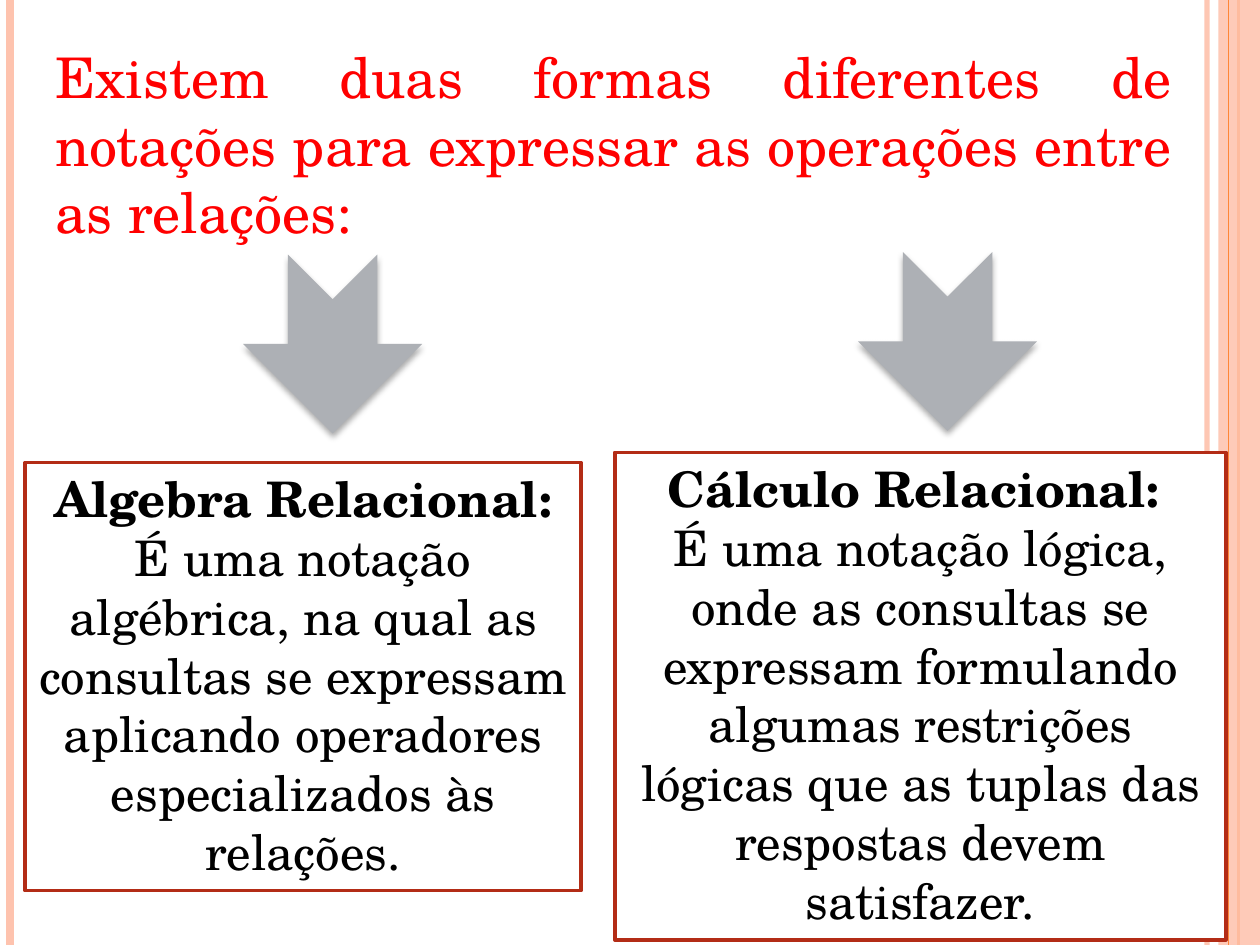
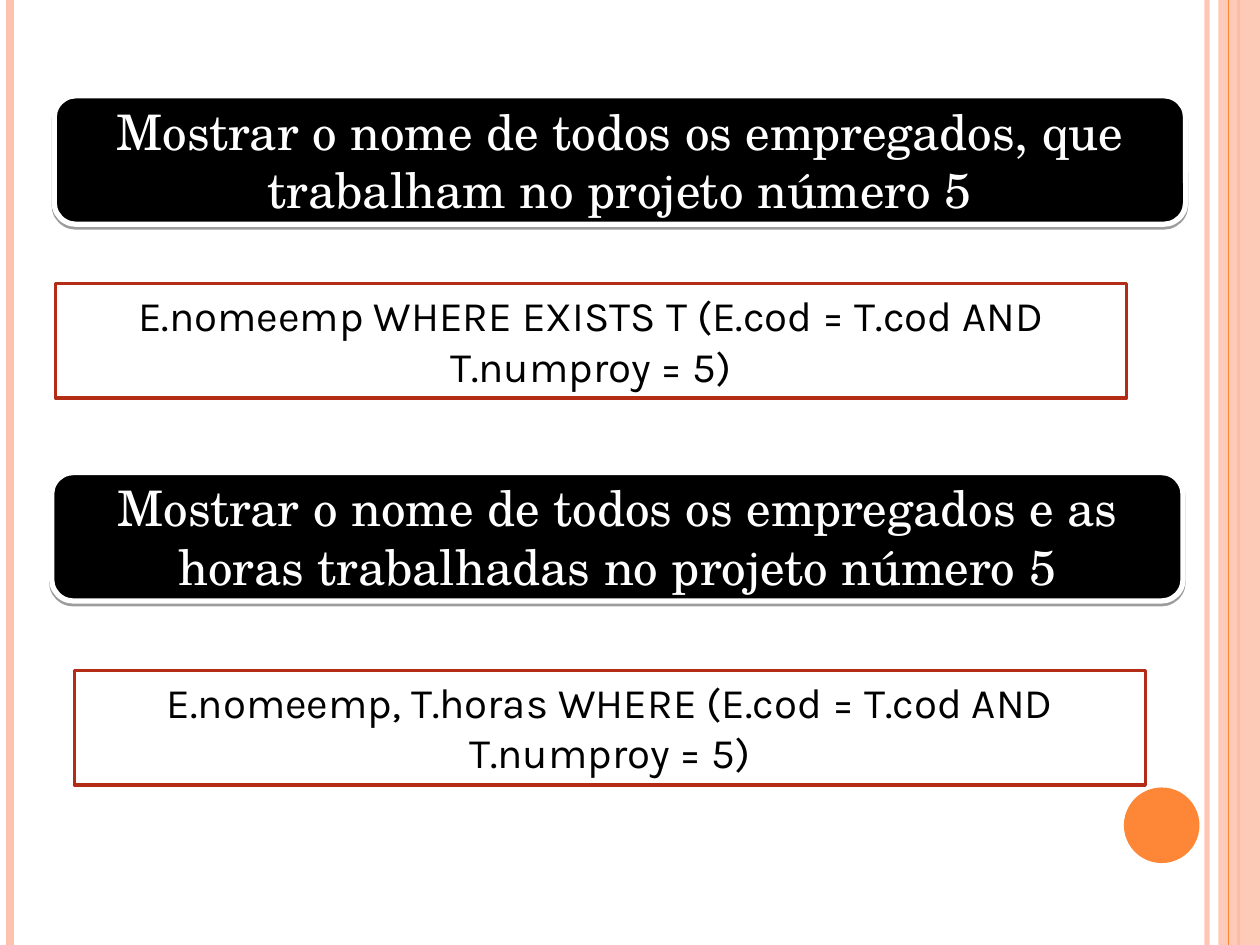
from dataclasses import dataclass

from lxml.etree import SubElement
from pptx import Presentation
from pptx.dml.color import RGBColor
from pptx.enum.shapes import MSO_CONNECTOR, MSO_SHAPE
from pptx.enum.text import MSO_ANCHOR, MSO_AUTO_SIZE, PP_ALIGN
from pptx.oxml.ns import qn
from pptx.util import Inches, Pt

SLIDE_WIDTH, SLIDE_HEIGHT = Inches(10), Inches(7.5)
COLUMNS, ROWS = 100, 75
COLUMN, ROW = SLIDE_WIDTH / COLUMNS, SLIDE_HEIGHT / ROWS

BLACK = RGBColor(0x00, 0x00, 0x00)
WHITE = RGBColor(0xFF, 0xFF, 0xFF)
RED = RGBColor(0xFF, 0x00, 0x00)
BRICK = RGBColor(0xB3, 0x2C, 0x16)
GREY = RGBColor(0xAD, 0xB0, 0xB5)
ORANGE = RGBColor(0xFE, 0x86, 0x37)
PEACH = RGBColor(0xFE, 0xC3, 0xAE)
SERIF, SANS = "TeX Gyre Schola", "Karla"


@dataclass(frozen=True)
class Area:
    """A place on the grid, in columns and rows."""
    left: float
    top: float
    width: float
    height: float

    def lengths(self) -> tuple:
        """Return left, top, width and height as slide lengths."""
        return (round(self.left * COLUMN), round(self.top * ROW),
                round(self.width * COLUMN), round(self.height * ROW))


@dataclass(frozen=True)
class Stripe:
    """A vertical line over the whole slide height."""
    column: float
    color: RGBColor
    points: float
    opacity: int = 100


@dataclass(frozen=True)
class Style:
    """The look of a run of text."""
    font: str
    size: int
    color: RGBColor


@dataclass(frozen=True)
class Shadow:
    """A shadow that falls straight down."""
    opacity: int
    blur: float
    distance: float


@dataclass(frozen=True)
class Span:
    """A piece of text, in bold or not."""
    text: str
    bold: bool = False


@dataclass(frozen=True)
class Notation:
    """A framed definition under its arrow."""
    arrow: Area
    frame: Area
    paragraphs: tuple


@dataclass(frozen=True)
class Query:
    """A question banner and the framed expression answering it."""
    banner: Area
    question: str
    frame: Area
    expression: str


HEADING = Style(SERIF, 32, RED)
DEFINITION = Style(SERIF, 28, BLACK)
QUESTION = Style(SERIF, 28, WHITE)
EXPRESSION = Style(SANS, 24, BLACK)
ARROW_SHADOW = Shadow(32, 3.5, 2.2)
BANNER_SHADOW = Shadow(38, 0, 1.6)

OUTER_STRIPES = (
    Stripe(95.8, PEACH, 3, 93),
    Stripe(0.8, PEACH, 4.5),
    Stripe(98.3, ORANGE, 1.5),
)
INNER_STRIPE = Stripe(97.5, ORANGE, 0.75)
SIDE_PANEL = Area(96.7, 0, 3.3, ROWS)
PAGE_DOT = Area(89.2, 62.5, 6, 6)

HEADING_AREA = Area(3.4, 2.9, 90.7, 17.2)
HEADING_TEXT = ("Existem duas formas diferentes de notações para expressar "
                "as operações entre as relações:")
NOTATIONS = (
    Notation(
        Area(19.3, 20.2, 14.2, 14.2), Area(2, 36.7, 44.1, 34),
        ((Span("Algebra Relacional: ", True),
          Span("É uma notação algébrica, na qual as consultas se expressam "
               "aplicando operadores especializados às relações.")),)),
    Notation(
        Area(68.1, 20, 14.2, 14.2), Area(48.8, 35.9, 48.5, 38.7),
        ((Span("Cálculo Relacional: ", True),),
         (Span("É uma notação lógica, onde as consultas se expressam "
               "formulando algumas restrições lógicas que as tuplas das "
               "respostas devem satisfazer."),))),
)
QUERIES = (
    Query(Area(4.3, 7.6, 89.8, 10.2),
          "Mostrar o nome de todos os empregados, que trabalham no projeto número 5",
          Area(4.4, 22.5, 85, 9.1),
          "E.nomeemp WHERE EXISTS T (E.cod = T.cod AND T.numproy = 5)"),
    Query(Area(4.1, 37.5, 89.8, 10.2),
          "Mostrar o nome de todos os empregados e as horas trabalhadas no projeto número 5",
          Area(5.9, 53.2, 85, 9.1),
          "E.nomeemp, T.horas WHERE (E.cod = T.cod AND T.numproy = 5)"),
)


def set_opacity(element, percent: int) -> None:
    """Give every plain colour inside an element the same opacity."""
    for color in element.iter(qn("a:srgbClr")):
        SubElement(color, qn("a:alpha"), val=str(percent * 1000))


def add_block(page, preset, area: Area, fill: RGBColor,
              line: RGBColor | None = None, points: float = 0):
    """Add a filled preset shape without a shadow."""
    block = page.shapes.add_shape(preset, *area.lengths())
    block.shadow.inherit = False
    block.fill.solid()
    block.fill.fore_color.rgb = fill
    if line is None:
        block.line.fill.background()
    else:
        block.line.color.rgb = line
        block.line.width = Pt(points)
    return block


def add_shadow(block, shadow: Shadow) -> None:
    """Let a block cast a black shadow downwards."""
    effects = block.element.spPr.find(qn("a:effectLst"))
    outer = SubElement(effects, qn("a:outerShdw"), blurRad=str(Pt(shadow.blur)),
                       dist=str(Pt(shadow.distance)), dir="5400000", rotWithShape="0")
    SubElement(outer, qn("a:srgbClr"), val=str(BLACK))
    set_opacity(outer, shadow.opacity)


def add_stripe(page, stripe: Stripe) -> None:
    """Draw one vertical stripe."""
    column = round(stripe.column * COLUMN)
    line = page.shapes.add_connector(MSO_CONNECTOR.STRAIGHT, column, 0,
                                     column, SLIDE_HEIGHT)
    line.line.color.rgb = stripe.color
    line.line.width = Pt(stripe.points)
    if stripe.opacity < 100:
        set_opacity(line.element.spPr, stripe.opacity)
    SubElement(line.element.spPr, qn("a:effectLst"))


def write(box, paragraphs: tuple, style: Style, align=PP_ALIGN.CENTER,
          anchor=MSO_ANCHOR.TOP, fit=MSO_AUTO_SIZE.SHAPE_TO_FIT_TEXT) -> None:
    """Fill a box with paragraphs of spans in one style."""
    frame = box.text_frame
    frame.word_wrap = True
    frame.auto_size = fit
    frame.vertical_anchor = anchor
    for number, spans in enumerate(paragraphs):
        para = frame.add_paragraph() if number else frame.paragraphs[0]
        para.alignment = align
        for span in spans:
            run = para.add_run()
            run.text = span.text
            run.font.name = style.font
            run.font.size = Pt(style.size)
            run.font.color.rgb = style.color
            run.font.bold = span.bold


def add_frame(page, area: Area, paragraphs: tuple, style: Style) -> None:
    """Add a white box with a brick outline and centred text."""
    box = add_block(page, MSO_SHAPE.RECTANGLE, area, WHITE, BRICK, 2)
    write(box, paragraphs, style)


def move_shapes(page, target) -> None:
    """Move all shapes of a page to a layout or master."""
    for number, shape in enumerate(list(page.shapes), start=100):
        for properties in shape.element.iter(qn("p:cNvPr")):
            properties.set("id", str(number))
        target.shapes.element.append(shape.element)


def build_background(page) -> None:
    """Put the bands on the master and the dot on the page's layout."""
    for stripe in OUTER_STRIPES:
        add_stripe(page, stripe)
    panel = add_block(page, MSO_SHAPE.RECTANGLE, SIDE_PANEL, PEACH)
    set_opacity(panel.element.spPr, 87)
    add_stripe(page, INNER_STRIPE)
    move_shapes(page, page.slide_layout.slide_master)
    add_block(page, MSO_SHAPE.OVAL, PAGE_DOT, ORANGE)
    move_shapes(page, page.slide_layout)


def build_notations(page) -> None:
    """Build the page that compares the two notations."""
    title = page.shapes.title
    title.left, title.top, title.width, title.height = HEADING_AREA.lengths()
    write(title, ((Span(HEADING_TEXT),),), HEADING, PP_ALIGN.JUSTIFY)
    for notation in NOTATIONS:
        arrow = add_block(page, MSO_SHAPE.NOTCHED_RIGHT_ARROW, notation.arrow, GREY)
        arrow.rotation = 90
        add_shadow(arrow, ARROW_SHADOW)
        add_frame(page, notation.frame, notation.paragraphs, DEFINITION)


def build_queries(page) -> None:
    """Build the page of questions and their expressions."""
    for query in QUERIES:
        banner = add_block(page, MSO_SHAPE.ROUNDED_RECTANGLE, query.banner,
                           BLACK, WHITE, 3)
        banner.adjustments[0] = 0.17
        add_shadow(banner, BANNER_SHADOW)
        write(banner, ((Span(query.question),),), QUESTION,
              anchor=MSO_ANCHOR.MIDDLE, fit=MSO_AUTO_SIZE.NONE)
        add_frame(page, query.frame, ((Span(query.expression),),), EXPRESSION)


def main() -> None:
    """Build and save the deck."""
    deck = Presentation()
    deck.slide_width, deck.slide_height = SLIDE_WIDTH, SLIDE_HEIGHT
    title_only, blank = deck.slide_layouts[5], deck.slide_layouts[6]
    notations_page = deck.slides.add_slide(title_only)
    queries_page = deck.slides.add_slide(blank)
    build_background(queries_page)
    build_notations(notations_page)
    build_queries(queries_page)
    deck.save("out.pptx")


if __name__ == "__main__":
    main()
